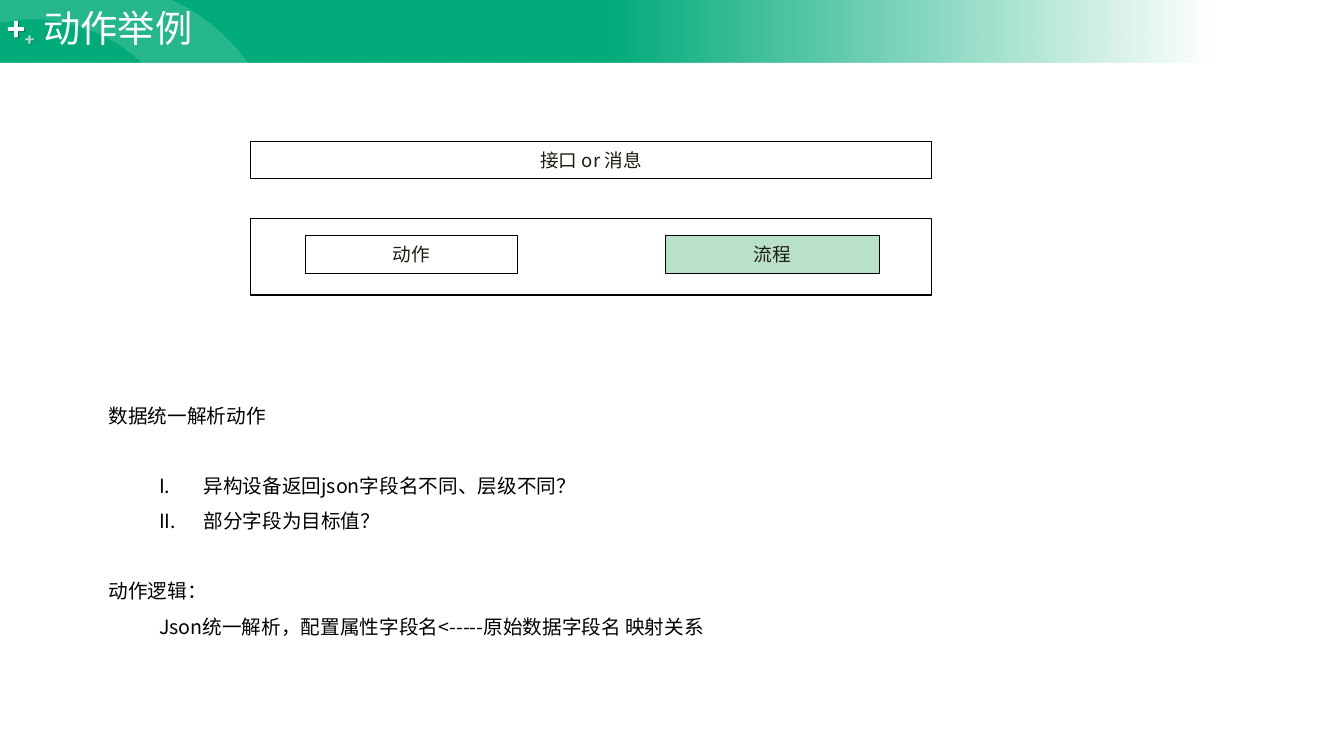
from lxml import etree
from pptx import Presentation
from pptx.dml.color import RGBColor
from pptx.enum.shapes import MSO_SHAPE
from pptx.enum.text import MSO_ANCHOR, MSO_AUTO_SIZE, PP_ALIGN
from pptx.oxml.ns import qn
from pptx.util import Cm, Pt

RECTANGLE = MSO_SHAPE.RECTANGLE
CROSS = MSO_SHAPE.CROSS
TOP = MSO_ANCHOR.TOP
MIDDLE = MSO_ANCHOR.MIDDLE
LEFT = PP_ALIGN.LEFT
CENTER = PP_ALIGN.CENTER
NO_AUTOFIT = MSO_AUTO_SIZE.NONE

GREEN = RGBColor(0x00, 0xAB, 0x7A)
PALE_GREEN = RGBColor(0xB8, 0xE0, 0xCA)
WHITE = RGBColor(0xFF, 0xFF, 0xFF)
BLACK = RGBColor(0x00, 0x00, 0x00)
INK = RGBColor(0x1E, 0x1C, 0x11)
CJK_FONT = "Noto Sans CJK SC"


def set_font(paragraph, latin, size, color):
    font = paragraph.font
    font.size = Pt(size)
    font.color.rgb = color
    font.name = latin
    defaults = paragraph._p.get_or_add_pPr().find(qn("a:defRPr"))
    etree.SubElement(defaults, qn("a:ea"), typeface=CJK_FONT)


def set_opacity(color_element, percent):
    etree.SubElement(color_element, qn("a:alpha"), val=str(percent * 1000))


prs = Presentation()
prs.slide_width = Cm(33.87)
prs.slide_height = Cm(19.05)
slide = prs.slides.add_slide(prs.slide_layouts[5])
shapes = slide.shapes

banner = shapes.add_shape(RECTANGLE, 0, 0, prs.slide_width, Cm(1.58))
banner.shadow.inherit = False
banner.line.fill.background()
banner.fill.gradient()
banner.fill.gradient_angle = 0
for stop, position in zip(banner.fill.gradient_stops, (0.45, 0.9)):
    stop.color.rgb = GREEN
    stop.position = position
set_opacity(banner._element.spPr.findall(".//" + qn("a:srgbClr"))[-1], 0)

for left, top, size, opacity in ((0.2, 0.53, 0.41, 100), (0.64, 0.89, 0.21, 70)):
    plus = shapes.add_shape(CROSS, Cm(left), Cm(top), Cm(size), Cm(size))
    plus.adjustments[0] = 0.38
    plus.shadow.inherit = False
    plus.line.fill.background()
    plus.fill.solid()
    plus.fill.fore_color.rgb = WHITE
    set_opacity(plus._element.spPr.find(".//" + qn("a:srgbClr")), opacity)
    effects = plus._element.spPr.find(qn("a:effectLst"))
    glow = etree.SubElement(effects, qn("a:outerShdw"), dist="12700", dir="2700000")
    set_opacity(etree.SubElement(glow, qn("a:srgbClr"), val=str(BLACK)), 40)

SWIRL_START = (6.38, 1.75)
SWIRL_CURVES = [
    ((4.83, -0.58), (1.55, -1.27), (-0.84, 0.33)),
    ((-0.69, 0.76), (-0.69, 0.76), (-0.69, 0.76)),
    ((-0.25, 0.61), (0.03, 0.56), (0.3, 0.53)),
    ((0.61, 0.48), (0.94, 0.46), (1.35, 0.53)),
    ((1.75, 0.58), (2.18, 0.71), (2.62, 0.91)),
    ((3.02, 1.12), (3.43, 1.42), (3.73, 1.73)),
    ((4.09, 2.01), (4.29, 2.29), (4.55, 2.51)),
    ((4.78, 2.72), (4.95, 2.84), (5.16, 2.95)),
    ((5.77, 3.15), (6.2, 2.92), (6.38, 2.72)),
    ((6.6, 2.54), (6.53, 2.01), (6.38, 1.75)),
]
STEPS = 12
swirl_points = []
start = SWIRL_START
for first, second, end in SWIRL_CURVES:
    for step in range(1, STEPS + 1):
        t = step / STEPS
        x, y = (
            (1 - t) ** 3 * a + 3 * t * (1 - t) ** 2 * b + 3 * t**2 * (1 - t) * c + t**3 * d
            for a, b, c, d in zip(start, first, second, end)
        )
        swirl_points.append((Cm(max(x, 0)), Cm(max(y, 0))))
    start = end
outline = shapes.build_freeform(Cm(SWIRL_START[0]), Cm(SWIRL_START[1]))
outline.add_line_segments(swirl_points, close=True)
swirl = outline.convert_to_shape()
swirl.shadow.inherit = False
swirl.line.fill.background()
swirl.fill.solid()
swirl.fill.fore_color.rgb = WHITE
set_opacity(swirl._element.spPr.find(".//" + qn("a:srgbClr")), 15)

title = shapes.title
shapes._spTree.append(title._element)
title.left, title.top, title.width, title.height = Cm(0.84), 0, Cm(4.32), Cm(1.4)
title.text = "动作举例"
title.text_frame.word_wrap = False
title.text_frame.auto_size = NO_AUTOFIT
title.text_frame.vertical_anchor = TOP
heading = title.text_frame.paragraphs[0]
heading.alignment = LEFT
set_font(heading, "Arial", 26.6, WHITE)

explanation = shapes.add_textbox(Cm(2.49), Cm(8.48), Cm(24.82), Cm(8.99)).text_frame
explanation.word_wrap = True
explanation.vertical_anchor = MIDDLE
EXPLANATION_LINES = [
    ("数据统一解析动作", 0, False, 0),
    ("异构设备返回json字段名不同、层级不同？", 1, True, 25),
    ("部分字段为目标值？", 1, True, 0),
    ("动作逻辑：", 0, False, 25),
    ("Json统一解析，配置属性字段名<-----原始数据字段名 映射关系", 1, False, 0),
]
for index, (words, level, numbered, gap) in enumerate(EXPLANATION_LINES):
    line = explanation.add_paragraph() if index else explanation.paragraphs[0]
    line.text = words
    line.level = level
    line.line_spacing = 1.5
    line.space_before = Pt(gap)
    properties = line._p.get_or_add_pPr()
    properties.set("marL", str(Cm(2.39 if numbered else 1.27 * level)))
    properties.set("indent", str(Cm(-1.12 if numbered else 0)))
    if numbered:
        etree.SubElement(properties, qn("a:buFont"), typeface="+mj-lt")
        etree.SubElement(properties, qn("a:buAutoNum"), type="romanUcPeriod")
    set_font(line, CJK_FONT, 14, BLACK)

BOXES = [
    ("", 6.32, 5.51, 17.15, 1.93, WHITE, 1),
    ("接口 or 消息", 6.32, 3.56, 17.15, 0.94, WHITE, 0.5),
    ("流程", 16.76, 5.94, 5.41, 0.94, PALE_GREEN, 0.5),
    ("动作", 7.7, 5.94, 5.33, 0.94, WHITE, 0.5),
]
for label, left, top, width, height, color, weight in BOXES:
    box = shapes.add_shape(RECTANGLE, Cm(left), Cm(top), Cm(width), Cm(height))
    box.shadow.inherit = False
    box.fill.solid()
    box.fill.fore_color.rgb = color
    box.line.color.rgb = BLACK
    box.line.width = Pt(weight)
    if label:
        box.text_frame.text = label
        box.text_frame.vertical_anchor = MIDDLE
        caption = box.text_frame.paragraphs[0]
        caption.alignment = CENTER
        set_font(caption, CJK_FONT, 13.3, INK)

prs.save("out.pptx")
